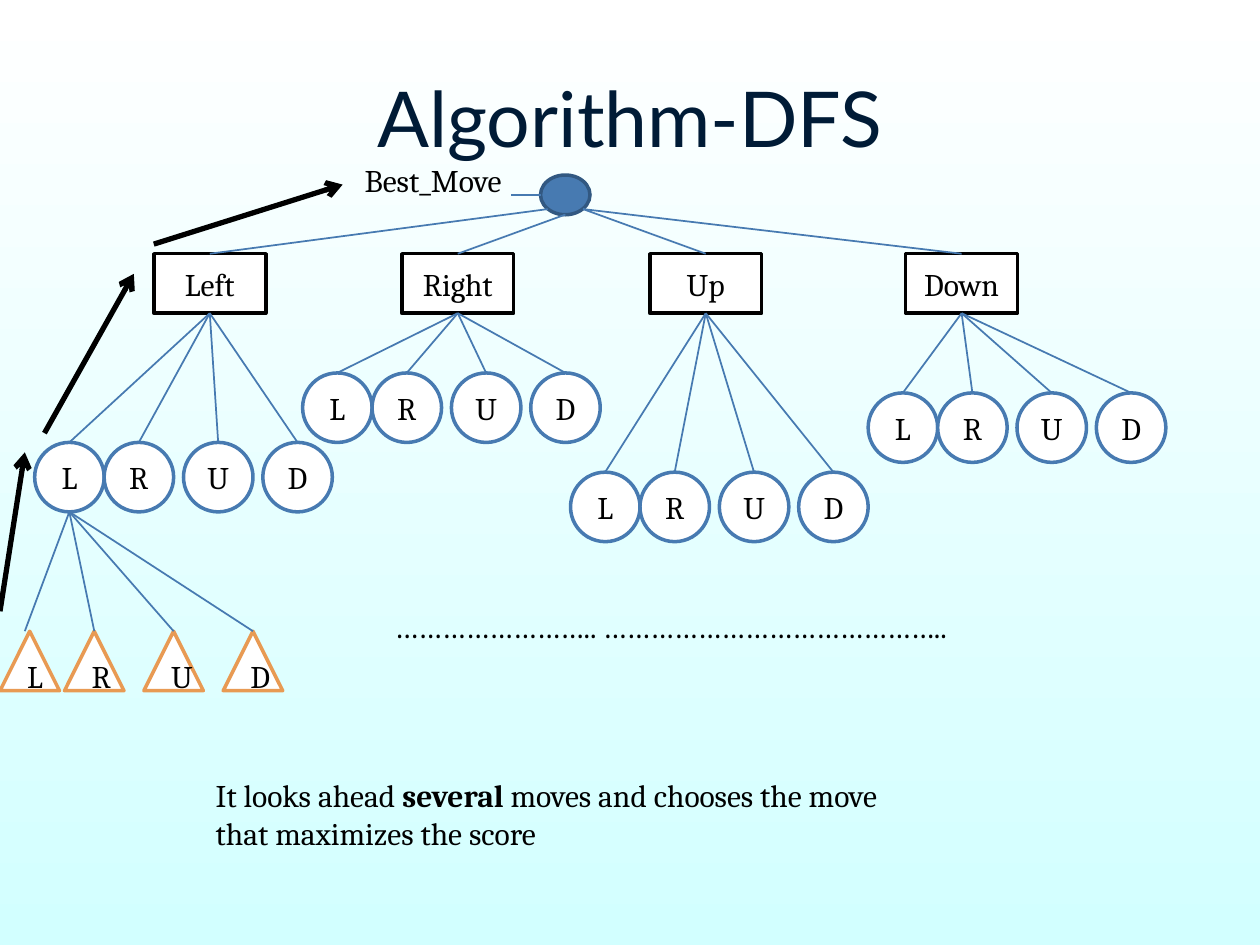
from dataclasses import dataclass
from typing import Optional

from lxml.etree import SubElement
from pptx import Presentation
from pptx.dml.color import RGBColor
from pptx.enum.shapes import MSO_CONNECTOR, MSO_SHAPE as Preset
from pptx.enum.text import MSO_ANCHOR as Anchor, MSO_AUTO_SIZE as AutoSize, PP_ALIGN as Align
from pptx.oxml.ns import qn
from pptx.shapes.autoshape import Shape
from pptx.shapes.connector import Connector
from pptx.slide import Slide
from pptx.util import Pt

COLORS = {
    "sky": "D2FFFF", "white": "FFFFFF", "black": "000000", "title": "001B36",
    "blue": "477AB1", "dark_blue": "325881", "orange": "E89A53",
}
BODY_FONT, TITLE_FONT = "Cambria", "Lato"

MOVES = "LRUD"
CHILD_OFFSETS = (0, 39.7, 85.04, 130.39)
LEAF_OFFSETS = (0, 36.85, 82.2, 127.56)
BOX_TOP, BOX_WIDTH, BOX_HEIGHT = 145, 64, 34
CIRCLE_SIZE = 39.7
LEAF_TOP, LEAF_SIZE = 360.7, 34
LEAF_LINE_LEFT = 14.2


@dataclass
class Branch:
    label: str
    left: float
    root_point: tuple[float, float]
    children_left: float
    children_top: float


@dataclass
class Arrow:
    start: tuple[float, float]
    end: tuple[float, float]


BRANCHES = [
    Branch("Left", 87.9, (313, 119.5), 19.8, 252.8),
    Branch("Right", 229.6, (323.1, 122.6), 172.9, 213.1),
    Branch("Up", 371.3, (333.2, 119.5), 326, 269.8),
    Branch("Down", 517.5, (333.2, 119.5), 496.1, 224.5),
]
ARROWS = [
    Arrow((0, 349.3), (14.2, 258.5)),
    Arrow((25.4, 247.5), (76.5, 156.5)),
    Arrow((87.9, 139.5), (195.8, 105.5)),
]


def rgb(name: str) -> RGBColor:
    return RGBColor.from_string(COLORS[name])


def format_text(shape: Shape, size: float = 18, font: str = BODY_FONT,
                color: str = "black", align: Align = Align.LEFT) -> None:
    for paragraph in shape.text_frame.paragraphs:
        paragraph.alignment = align
        for run in paragraph.runs:
            run.font.size = Pt(size)
            run.font.name = font
            run.font.color.rgb = rgb(color)


def add_node(slide: Slide, preset: Preset, left: float, top: float, width: float,
             height: float, line: str, text: str = "", fill: str = "white") -> Shape:
    shape = slide.shapes.add_shape(preset, Pt(left), Pt(top), Pt(width), Pt(height))
    shape.shadow.inherit = False
    shape.fill.solid()
    shape.fill.fore_color.rgb = rgb(fill)
    shape.line.color.rgb = rgb(line)
    shape.line.width = Pt(2)
    if text:
        shape.text_frame.text = text
        shape.text_frame.word_wrap = True
        shape.text_frame.vertical_anchor = Anchor.MIDDLE
        format_text(shape, align=Align.CENTER)
    return shape


def add_text(slide: Slide, left: float, top: float, width: float, height: float,
             text: str) -> Shape:
    box = slide.shapes.add_textbox(Pt(left), Pt(top), Pt(width), Pt(height))
    box.text_frame.text = text
    box.text_frame.word_wrap = True
    box.text_frame.auto_size = AutoSize.SHAPE_TO_FIT_TEXT
    format_text(box)
    return box


def add_line(slide: Slide, start: tuple[float, float], end: tuple[float, float],
             color: str = "blue", width: float = 1,
             arrowhead: Optional[str] = None) -> Connector:
    connector = slide.shapes.add_connector(
        MSO_CONNECTOR.STRAIGHT, Pt(start[0]), Pt(start[1]), Pt(end[0]), Pt(end[1]))
    connector.line.color.rgb = rgb(color)
    connector.line.width = Pt(width)
    if arrowhead:
        SubElement(connector.line._get_or_add_ln(), qn("a:tailEnd"), type=arrowhead)
    SubElement(connector._element.spPr, qn("a:effectLst"))
    return connector


def add_branch(slide: Slide, branch: Branch) -> None:
    """Draw a move box, its link to the root, and its four child circles."""
    box = add_node(slide, Preset.RECTANGLE, branch.left, BOX_TOP, BOX_WIDTH, BOX_HEIGHT,
                   "black", branch.label)
    center = branch.left + BOX_WIDTH / 2
    add_line(slide, branch.root_point, (center, BOX_TOP)).end_connect(box, 0)
    for move, offset in zip(MOVES, CHILD_OFFSETS):
        left = branch.children_left + offset
        circle = add_node(slide, Preset.OVAL, left, branch.children_top,
                          CIRCLE_SIZE, CIRCLE_SIZE, "blue", move)
        link = add_line(slide, (center, BOX_TOP + BOX_HEIGHT),
                        (left + CIRCLE_SIZE / 2, branch.children_top))
        link.begin_connect(box, 2)
        link.end_connect(circle, 0)


def add_leaves(slide: Slide, parent: Branch) -> None:
    """Draw the triangles below the first child circle of the parent."""
    start = (parent.children_left + CIRCLE_SIZE / 2, parent.children_top + CIRCLE_SIZE)
    for move, leaf_offset, line_offset in zip(MOVES, LEAF_OFFSETS, CHILD_OFFSETS):
        add_node(slide, Preset.ISOSCELES_TRIANGLE, leaf_offset, LEAF_TOP,
                 LEAF_SIZE, LEAF_SIZE, "orange", move)
        add_line(slide, start, (LEAF_LINE_LEFT + line_offset, LEAF_TOP))


def set_background(slide: Slide) -> None:
    fill = slide.background.fill
    fill.gradient()
    fill.gradient_angle = 270
    for stop, position, color in zip(fill.gradient_stops, (0, 1), ("white", "sky")):
        stop.position = position
        stop.color.rgb = rgb(color)


def add_title(slide: Slide, text: str) -> None:
    title = slide.shapes.add_textbox(Pt(36), Pt(21.6), Pt(648), Pt(90))
    title.text_frame.text = text
    title.text_frame.word_wrap = True
    title.text_frame.vertical_anchor = Anchor.MIDDLE
    format_text(title, 44, TITLE_FONT, "title", Align.CENTER)


def add_summary(slide: Slide) -> None:
    summary = add_text(slide, 116.2, 440, 402.5, 50.4, "It looks ahead ")
    paragraph = summary.text_frame.paragraphs[0]
    emphasis = paragraph.add_run()
    emphasis.text = "several "
    emphasis.font.bold = True
    paragraph.add_run().text = "moves and chooses the move that maximizes the score"
    format_text(summary)


def main() -> None:
    presentation = Presentation()
    presentation.slide_width, presentation.slide_height = Pt(720), Pt(540)
    slide = presentation.slides.add_slide(presentation.slide_layouts[6])
    set_background(slide)
    add_title(slide, "Algorithm-DFS")
    add_node(slide, Preset.OVAL, 308.9, 100, 28.3, 22.7, "dark_blue", fill="blue")
    add_text(slide, 201.3, 88.6, 113, 28.8, "Best_Move")
    add_line(slide, (292.3, 111.4), (308.9, 111.4))
    for branch in BRANCHES:
        add_branch(slide, branch)
    add_leaves(slide, BRANCHES[0])
    add_text(slide, 218.2, 343.6, 334.8, 28.8, "…………………….. ……………………………………..")
    for arrow in ARROWS:
        add_line(slide, arrow.start, arrow.end, "black", 3, "arrow")
    add_summary(slide)
    presentation.save("out.pptx")


if __name__ == "__main__":
    main()
